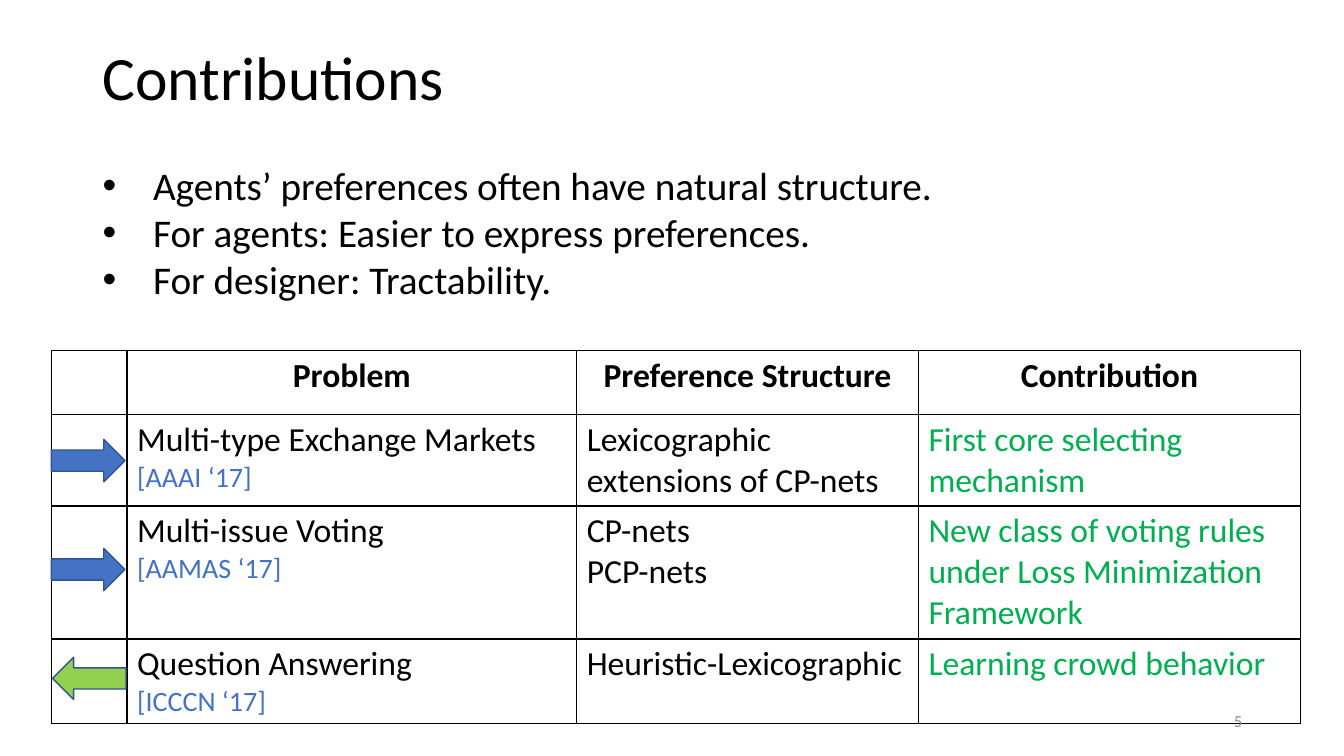
from dataclasses import dataclass

from lxml.etree import SubElement
from pptx import Presentation
from pptx.dml.color import RGBColor
from pptx.enum.shapes import MSO_SHAPE as Preset
from pptx.enum.text import MSO_ANCHOR as Anchor, PP_ALIGN as Align
from pptx.oxml import parse_xml
from pptx.oxml.ns import nsdecls, qn
from pptx.slide import Slide
from pptx.table import _Cell as Cell
from pptx.text.text import TextFrame, _Paragraph as Paragraph
from pptx.util import Inches, Pt


@dataclass(frozen=True)
class Theme:
    font: str = "Calibri"
    black: str = "000000"
    blue: str = "4472C4"
    outline: str = "325491"
    green: str = "00B050"
    lime: str = "92D050"
    gray: str = "8C8C8C"
    title: int = 44
    bullet: int = 28
    table: int = 24
    venue: int = 20
    number: int = 12


@dataclass(frozen=True)
class Box:
    left: float
    top: float
    width: float
    height: float

    def lengths(self) -> tuple[int, ...]:
        """Return the box as slide lengths."""
        return tuple(Inches(n) for n in (self.left, self.top, self.width, self.height))


@dataclass(frozen=True)
class Work:
    problem: str
    venue: str
    structure: str
    contribution: str


@dataclass(frozen=True)
class Arrow:
    box: Box
    fill: str
    rotation: int = 0


THEME = Theme()
BULLETS = (
    "Agents’ preferences often have natural structure.",
    "For agents: Easier to express preferences.",
    "For designer: Tractability.",
)
HEADINGS = ("Problem", "Preference Structure", "Contribution")
WORKS = (
    Work("Multi-type Exchange Markets", "[AAAI ‘17]",
         "Lexicographic extensions of CP-nets", "First core selecting mechanism"),
    Work("Multi-issue Voting", "[AAMAS ‘17]", "CP-nets\nPCP-nets",
         "New class of voting rules under Loss Minimization Framework"),
    Work("Question Answering", "[ICCCN ‘17]",
         "Heuristic-Lexicographic", "Learning crowd behavior"),
)
TABLE_BOX = Box(0.51, 3.48, 12.39, 3.7)
COLUMN_WIDTHS = (0.75, 4.46, 3.39, 3.79)
ROW_HEIGHTS = (0.63, 0.91, 1.32, 0.84)
ARROWS = (
    Arrow(Box(0.51, 4.36, 0.73, 0.42), THEME.blue),
    Arrow(Box(0.51, 5.44, 0.73, 0.42), THEME.blue),
    Arrow(Box(0.52, 6.52, 0.73, 0.42), THEME.lime, 180),
)


def style(paragraph: Paragraph, size: int, color: str, bold: bool = False) -> None:
    """Format every run of a paragraph."""
    for run in paragraph.runs:
        run.font.name = THEME.font
        run.font.size = Pt(size)
        run.font.bold = bold
        run.font.color.rgb = RGBColor.from_string(color)


def add_text(slide: Slide, box: Box, text: str, size: int, color: str,
             anchor: Anchor = Anchor.MIDDLE, wrap: bool = True) -> TextFrame:
    """Add a text box with one style throughout."""
    text_frame = slide.shapes.add_textbox(*box.lengths()).text_frame
    text_frame.word_wrap = wrap
    text_frame.vertical_anchor = anchor
    text_frame.text = text
    for paragraph in text_frame.paragraphs:
        style(paragraph, size, color)
    return text_frame


def add_bullet(paragraph: Paragraph) -> None:
    """Give a paragraph a round bullet with a hanging indent."""
    properties = paragraph._p.get_or_add_pPr()
    properties.set("marL", str(Inches(0.5)))
    properties.set("indent", str(-Inches(0.5)))
    SubElement(properties, qn("a:buFont"), typeface="Arial")
    SubElement(properties, qn("a:buChar"), char="•")


def outline_cell(cell: Cell) -> None:
    """Clear a cell's fill and draw its four borders."""
    cell.fill.background()
    properties = cell._tc.get_or_add_tcPr()
    for index, side in enumerate(("lnL", "lnR", "lnT", "lnB")):
        properties.insert(index, parse_xml(
            f'<a:{side} {nsdecls("a")} w="{Pt(1)}"><a:solidFill>'
            f'<a:srgbClr val="{THEME.black}"/></a:solidFill></a:{side}>'))


def fill_cell(cell: Cell, text: str, color: str = THEME.black, bold: bool = False) -> None:
    """Write table text into a cell."""
    cell.text_frame.text = text
    for paragraph in cell.text_frame.paragraphs:
        style(paragraph, THEME.table, color, bold)


def add_work_table(slide: Slide) -> None:
    """Add the table of problems, structures and contributions."""
    table = slide.shapes.add_table(
        len(ROW_HEIGHTS), len(COLUMN_WIDTHS), *TABLE_BOX.lengths()).table
    table.first_row = table.horz_banding = False
    for column, width in zip(table.columns, COLUMN_WIDTHS):
        column.width = Inches(width)
    for row, height in zip(table.rows, ROW_HEIGHTS):
        row.height = Inches(height)
    for cell in table.iter_cells():
        outline_cell(cell)
    for column, heading in enumerate(HEADINGS, 1):
        cell = table.cell(0, column)
        fill_cell(cell, heading, bold=True)
        cell.text_frame.paragraphs[0].alignment = Align.CENTER
    for row, work in enumerate(WORKS, 1):
        problem = table.cell(row, 1)
        fill_cell(problem, f"{work.problem}\n{work.venue}")
        style(problem.text_frame.paragraphs[1], THEME.venue, THEME.blue)
        fill_cell(table.cell(row, 2), work.structure)
        fill_cell(table.cell(row, 3), work.contribution, THEME.green)


def add_arrow(slide: Slide, arrow: Arrow) -> None:
    """Add one block arrow beside a table row."""
    shape = slide.shapes.add_shape(Preset.RIGHT_ARROW, *arrow.box.lengths())
    shape.shadow.inherit = False
    shape.rotation = arrow.rotation
    shape.fill.solid()
    shape.fill.fore_color.rgb = RGBColor.from_string(arrow.fill)
    shape.line.color.rgb = RGBColor.from_string(THEME.outline)
    shape.line.width = Pt(1)


def main() -> None:
    """Build and save the contributions slide."""
    presentation = Presentation()
    presentation.slide_width = Inches(13.33)
    presentation.slide_height = Inches(7.5)
    slide = presentation.slides.add_slide(presentation.slide_layouts[6])
    title = add_text(slide, Box(0.92, 0.07, 11.5, 1.45), "Contributions",
                     THEME.title, THEME.black)
    title.paragraphs[0].line_spacing = 0.9
    add_work_table(slide)
    number = add_text(slide, Box(9.42, 6.95, 3, 0.4), "5", THEME.number, THEME.gray)
    number.paragraphs[0].alignment = Align.RIGHT
    bullets = add_text(slide, Box(0.92, 1.55, 8.62, 1.51), "\n".join(BULLETS),
                       THEME.bullet, THEME.black, Anchor.TOP, wrap=False)
    for paragraph in bullets.paragraphs:
        add_bullet(paragraph)
    for arrow in ARROWS:
        add_arrow(slide, arrow)
    presentation.save("out.pptx")


if __name__ == "__main__":
    main()
